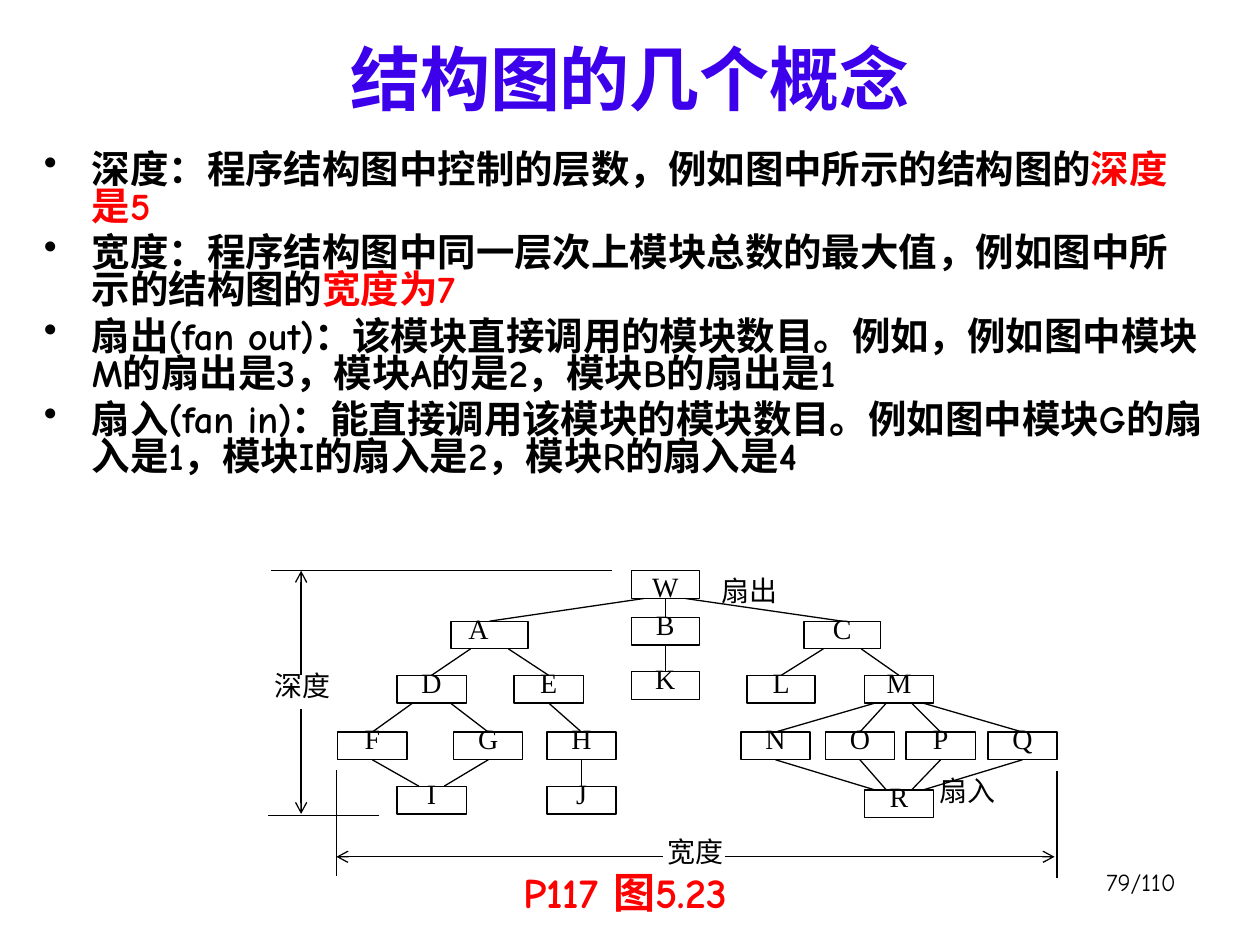
from pptx import Presentation
from pptx.dml.color import RGBColor
from pptx.enum.shapes import MSO_CONNECTOR, MSO_SHAPE
from pptx.enum.text import MSO_ANCHOR, PP_ALIGN
from pptx.oxml.ns import qn
from pptx.util import Inches, Pt
from lxml.etree import SubElement

BODY_FONT = "Comic Neue"
LABEL_FONT = "Times New Roman"
BLACK, RED, BLUE = "000000", "FF0000", "3D00EA"
BOX_H = 0.22

CONCEPTS = [
    [("深度：程序结构图中控制的层数，例如图中所示的结构图的", BLACK), ("深度是5", RED)],
    [("宽度：程序结构图中同一层次上模块总数的最大值，例如图中所示的结构图的", BLACK),
     ("宽度为7", RED)],
    [("扇出(fan out)：该模块直接调用的模块数目。例如，例如图中模块M的扇出是3，"
      "模块A的是2，模块B的扇出是1", BLACK)],
    [("扇入(fan in)：能直接调用该模块的模块数目。例如图中模块G的扇入是1，"
      "模块I的扇入是2，模块R的扇入是4", BLACK)],
]

# Module name: left, top, width of its box
MODULES = {
    "W": (5.01, 4.53, 0.54), "B": (5.01, 4.9, 0.54), "K": (5.01, 5.33, 0.54),
    "A": (3.58, 4.93, 0.61), "C": (6.38, 4.93, 0.61),
    "D": (3.15, 5.36, 0.55), "E": (4.08, 5.36, 0.55),
    "L": (5.93, 5.36, 0.54), "M": (6.86, 5.36, 0.55),
    "F": (2.68, 5.81, 0.55), "G": (3.6, 5.81, 0.55), "H": (4.34, 5.81, 0.55),
    "N": (5.88, 5.81, 0.55), "O": (6.55, 5.81, 0.55),
    "P": (7.19, 5.81, 0.55), "Q": (7.84, 5.81, 0.55),
    "I": (3.15, 6.24, 0.55), "J": (4.34, 6.24, 0.55), "R": (6.86, 6.27, 0.55),
}

# Caller, called module, offsets from the centres of the caller and the called box
CALLS = [
    ("W", "A", -0.17, 0), ("W", "B", 0, 0), ("W", "C", 0.16, 0),
    ("B", "K", 0, 0),
    ("A", "D", -0.15, 0), ("A", "E", 0.15, 0),
    ("C", "L", -0.15, 0), ("C", "M", 0.15, 0),
    ("D", "F", -0.15, 0), ("D", "G", 0.15, 0), ("E", "H", 0, 0),
    ("F", "I", 0, -0.1), ("G", "I", 0, 0.1), ("H", "J", 0, 0),
    ("M", "N", -0.19, 0), ("M", "O", -0.1, 0),
    ("M", "P", 0.1, 0), ("M", "Q", 0.19, 0),
    ("N", "R", 0, -0.19), ("O", "R", 0, -0.1),
    ("P", "R", 0, 0.1), ("Q", "R", 0, 0.19),
]

# Start, end, arrowhead element of each dimension line
DIMENSION_LINES = [
    ((2.15, 4.53), (4.86, 4.53), None),
    ((2.13, 6.47), (3.01, 6.47), None),
    ((2.39, 5.36), (2.39, 4.53), "a:tailEnd"),
    ((2.39, 5.63), (2.39, 6.46), "a:tailEnd"),
    ((2.67, 6.11), (2.67, 6.95), None),
    ((8.39, 6.12), (8.39, 6.97), None),
    ((5.26, 6.8), (2.67, 6.8), "a:tailEnd"),
    ((5.75, 6.8), (8.37, 6.8), "a:tailEnd"),
]

CAPTIONS = [("深度", 2.08, 5.26), ("宽度", 5.2, 6.57),
            ("扇入", 7.36, 6.09), ("扇出", 5.63, 4.5)]


def rgb(color):
    return RGBColor.from_string(color)


def style_run(r, size, font, color, bold=False):
    r.font.size = Pt(size)
    r.font.name = font
    r.font.bold = bold
    r.font.color.rgb = rgb(color)


def add_frame(s, x, y, w, h):
    tf = s.shapes.add_textbox(Inches(x), Inches(y), Inches(w), Inches(h)).text_frame
    tf.word_wrap = True
    return tf


def add_text(s, text, box, size, font, color=BLACK, align=PP_ALIGN.LEFT, bold=False):
    tf = add_frame(s, *box)
    tf.text = text
    p = tf.paragraphs[0]
    p.alignment = align
    style_run(p.runs[0], size, font, color, bold)
    return tf


def add_bullet(p):
    pPr = p._p.get_or_add_pPr()
    pPr.set("marL", str(Inches(0.38)))
    pPr.set("indent", str(Inches(-0.38)))
    color = SubElement(pPr, qn("a:buClr"))
    SubElement(color, qn("a:srgbClr")).set("val", BLACK)
    SubElement(pPr, qn("a:buChar")).set("char", "•")


def add_concepts(s):
    tf = add_frame(s, 0.25, 1.17, 9.42, 3.25)
    for i, parts in enumerate(CONCEPTS):
        p = tf.add_paragraph() if i else tf.paragraphs[0]
        add_bullet(p)
        p.line_spacing = 0.8
        if i:
            p.space_before = Pt(5.5)
        for text, color in parts:
            r = p.add_run()
            r.text = text
            style_run(r, 22, BODY_FONT, color, True)


def add_module(s, name):
    x, y, w = MODULES[name]
    sp = s.shapes.add_shape(MSO_SHAPE.RECTANGLE, Inches(x), Inches(y), Inches(w), Inches(BOX_H))
    sp.shadow.inherit = False
    sp.fill.background()
    sp.line.color.rgb = rgb(BLACK)
    sp.line.width = Pt(0.75)
    rise = -0.01 if name == "W" else 0.06
    align = PP_ALIGN.LEFT if name == "A" else PP_ALIGN.CENTER
    tf = add_text(s, name, (x + 0.04, y - rise, w - 0.08, 0.34), 16, LABEL_FONT, align=align)
    tf.paragraphs[0].line_spacing = 0.72


def add_line(s, start, end, arrowhead=None):
    points = [Inches(v) for v in (*start, *end)]
    c = s.shapes.add_connector(MSO_CONNECTOR.STRAIGHT, *points)
    c.line.color.rgb = rgb(BLACK)
    c.line.width = Pt(0.75)
    if arrowhead:
        SubElement(c.line._get_or_add_ln(), qn(arrowhead)).set("type", "arrow")
    SubElement(c._element.spPr, qn("a:effectLst"))


def add_call(s, caller, called, out_dx, in_dx):
    """Join the bottom of the caller to the top of the module it calls."""
    x1, y1, w1 = MODULES[caller]
    x2, y2, w2 = MODULES[called]
    add_line(s, (x1 + w1 / 2 + out_dx, y1 + BOX_H), (x2 + w2 / 2 + in_dx, y2))


def main():
    prs = Presentation()
    prs.slide_width, prs.slide_height = Inches(10), Inches(7.5)
    s = prs.slides.add_slide(prs.slide_layouts[6])
    add_text(s, "P117 图5.23", (2, 6.83, 5.92, 0.5), 24, BODY_FONT, RED, PP_ALIGN.CENTER, True)
    add_text(s, "79/110", (7.35, 6.83, 2.08, 0.5), 14, BODY_FONT, align=PP_ALIGN.RIGHT)
    title = add_text(s, "结构图的几个概念", (0.5, 0.17, 9, 0.83), 40, BODY_FONT, BLUE,
                     PP_ALIGN.CENTER, True)
    title.vertical_anchor = MSO_ANCHOR.BOTTOM
    add_concepts(s)
    for name in MODULES:
        add_module(s, name)
    for call in CALLS:
        add_call(s, *call)
    for line in DIMENSION_LINES:
        add_line(s, *line)
    for text, x, y in CAPTIONS:
        add_text(s, text, (x, y, 0.76, 0.49), 16, LABEL_FONT)
    prs.save("out.pptx")


if __name__ == "__main__":
    main()
